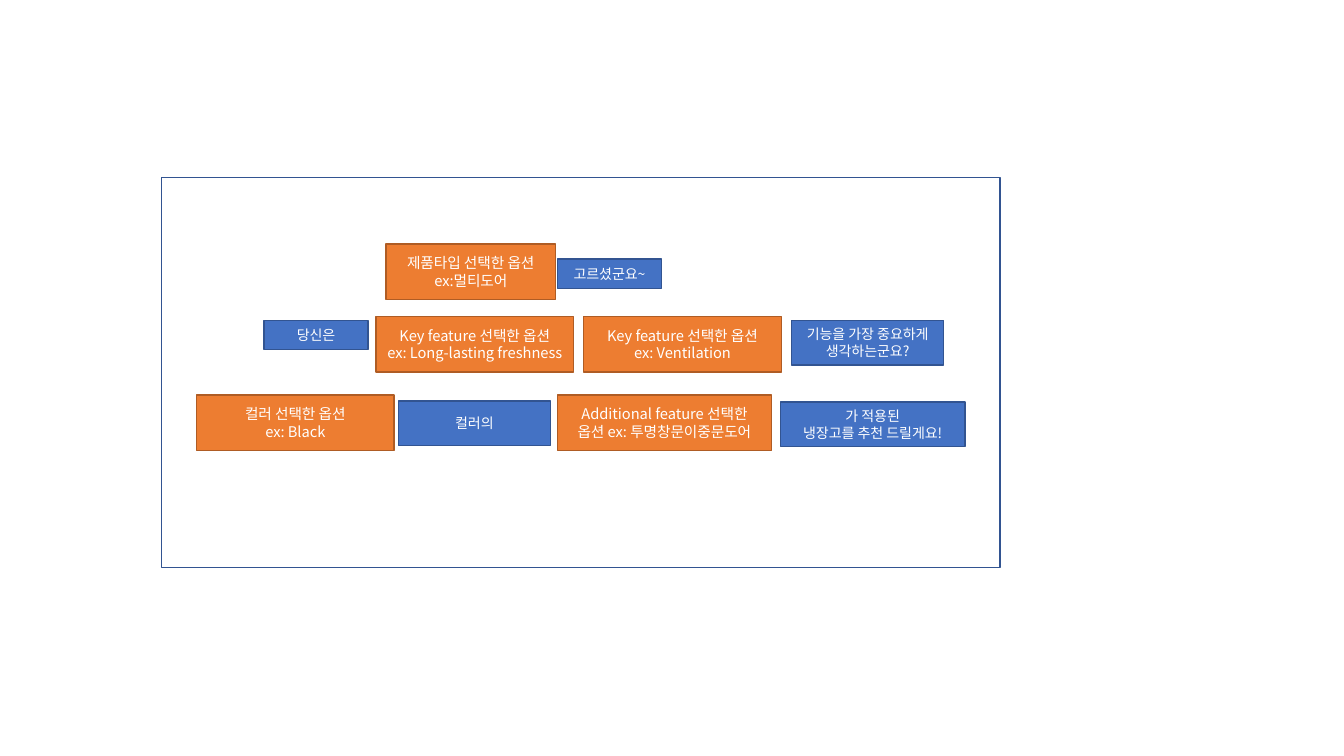
from lxml.etree import SubElement
from pptx import Presentation
from pptx.dml.color import RGBColor
from pptx.enum.shapes import MSO_SHAPE as Preset
from pptx.enum.text import MSO_ANCHOR as Anchor, PP_ALIGN as Align
from pptx.oxml.ns import qn
from pptx.util import Emu, Pt

PX = 9144
FONT = "Noto Sans CJK KR"
WHITE = RGBColor(0xFF, 0xFF, 0xFF)
ORANGE = RGBColor(0xED, 0x7D, 0x31)
BROWN = RGBColor(0xAF, 0x5C, 0x24)
BLUE = RGBColor(0x44, 0x72, 0xC4)
NAVY = RGBColor(0x32, 0x54, 0x91)

OPTION_HEIGHT = 55
OPTION = {"fill": ORANGE, "line": BROWN, "size": 10.5}
PHRASE = {"fill": BLUE, "line": NAVY, "size": 10}

OPTIONS = [
    (383, 242, 168, ["제품타입 선택한 옵션", "ex:멀티도어"]),
    (373, 314, 196, ["Key feature 선택한 옵션", "ex: Long-lasting freshness"]),
    (579, 314, 196, ["Key feature 선택한 옵션", "ex: Ventilation"]),
    (195, 392, 196, ["컬러 선택한 옵션", "ex: Black"]),
    (553, 392, 212, ["Additional feature 선택한 옵션 ex: 투명창문이중문도어"]),
]
PHRASES = [
    (553, 257, 103, 29, ["고르셨군요~"]),
    (262, 318, 103, 29, ["당신은"]),
    (785, 318, 151, 44, ["기능을 가장 중요하게 생각하는군요?"]),
    (395, 398, 151, 44, ["컬러의"]),
    (774, 399, 183, 44, ["가 적용된", "냉장고를 추천 드릴게요!"]),
]


def add_box(slide, bounds, line, fill=None):
    """Add a rectangle with a thin outline and an optional fill."""
    shape = slide.shapes.add_shape(Preset.RECTANGLE, *(Emu(v * PX) for v in bounds))
    shape.shadow.inherit = False
    shape.line.color.rgb = line
    shape.line.width = Pt(1)
    if fill is None:
        shape.fill.background()
    else:
        shape.fill.solid()
        shape.fill.fore_color.rgb = fill
    return shape


def add_label(slide, bounds, lines, style):
    """Add a filled rectangle with centred lines of text."""
    shape = add_box(slide, bounds, style["line"], style["fill"])
    frame = shape.text_frame
    frame.word_wrap = True
    frame.vertical_anchor = Anchor.MIDDLE
    frame.text = "\n".join(lines)
    for paragraph in frame.paragraphs:
        paragraph.alignment = Align.CENTER
        font = paragraph.runs[0].font
        for name, value in {"name": FONT, "size": Pt(style["size"])}.items():
            setattr(font, name, value)
        font.color.rgb = WHITE
        properties = paragraph.runs[0]._r.get_or_add_rPr()
        SubElement(properties, qn("a:ea")).set("typeface", FONT)


def main():
    """Build the slide and save it."""
    presentation = Presentation()
    presentation.slide_width = Emu(1333 * PX)
    presentation.slide_height = Emu(750 * PX)
    slide = presentation.slides.add_slide(presentation.slide_layouts[6])
    for left, top, width, lines in OPTIONS:
        add_label(slide, (left, top, width, OPTION_HEIGHT), lines, OPTION)
    for *bounds, lines in PHRASES:
        add_label(slide, bounds, lines, PHRASE)
    add_box(slide, (160, 176, 832, 387), NAVY)
    presentation.save("out.pptx")


if __name__ == "__main__":
    main()
